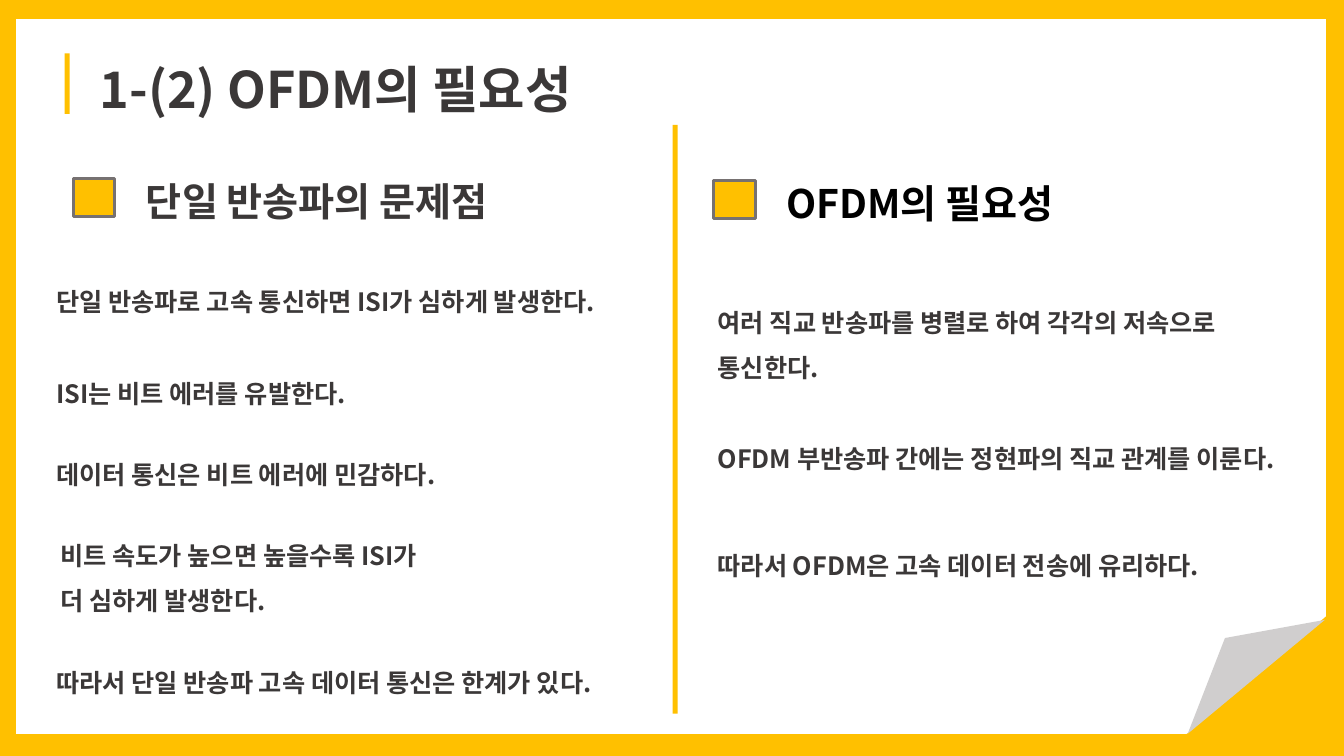
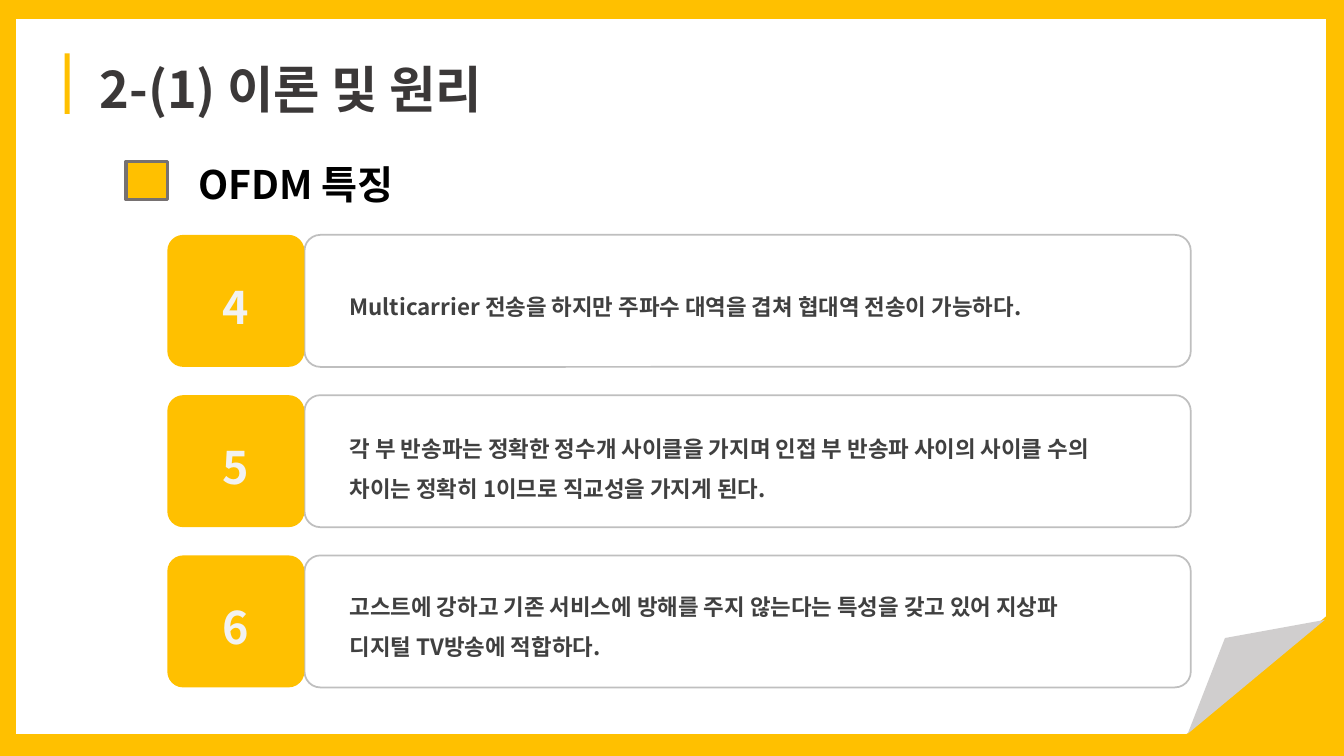
from lxml.etree import SubElement
from pptx import Presentation
from pptx.dml.color import RGBColor
from pptx.enum.shapes import MSO_SHAPE
from pptx.enum.text import MSO_ANCHOR, MSO_AUTO_SIZE, PP_ALIGN
from pptx.oxml.ns import qn
from pptx.util import Emu, Pt

PX = 9144
FONT = "Noto Sans CJK KR"
COLORS = {
    "accent": "FFC000",
    "paper": "FFFFFF",
    "ink": "3B3838",
    "black": "000000",
    "body": "404040",
    "number": "F2F2F2",
    "marker": "767171",
    "border": "BFBFBF",
    "fold": "D0CECE",
}


class SlideMaker:
    """Draws styled elements on the current slide of a deck."""

    def __init__(self, width, height):
        self.deck = Presentation()
        self.width, self.height = width, height
        sizes = {"slide_width": width, "slide_height": height}
        for name, value in sizes.items():
            setattr(self.deck, name, Emu(value * PX))
        self.page = None

    def color(self, name):
        return RGBColor.from_string(COLORS[name])

    def paint(self, shape, fill=None, line=None, weight=0):
        shape.shadow.inherit = False
        if fill:
            shape.fill.solid()
            shape.fill.fore_color.rgb = self.color(fill)
        else:
            shape.fill.background()
        if line:
            shape.line.color.rgb = self.color(line)
            shape.line.width = Pt(weight)
        else:
            shape.line.fill.background()

    def shape(self, kind, at, radius=None, rotation=0, **look):
        shape = self.page.shapes.add_shape(kind, *(Emu(value * PX) for value in at))
        shape.rotation = rotation
        if radius is not None:
            shape.adjustments[0] = radius
        self.paint(shape, **look)
        return shape

    def set_lines(self, frame, lines, size, color, spacing=1.0, align=PP_ALIGN.LEFT):
        frame.word_wrap = True
        for index, line in enumerate(lines):
            para = frame.add_paragraph() if index else frame.paragraphs[0]
            para.line_spacing = spacing
            para.alignment = align
            span = para.add_run()
            span.text = line
            for name, value in {"name": FONT, "size": Pt(size), "bold": True}.items():
                setattr(span.font, name, value)
            span.font.color.rgb = self.color(color)
            SubElement(span.font._element, qn("a:ea"), typeface=FONT)

    def text(self, at, *lines, **style):
        box = self.page.shapes.add_textbox(*(Emu(value * PX) for value in at))
        box.text_frame.auto_size = MSO_AUTO_SIZE.SHAPE_TO_FIT_TEXT
        self.set_lines(box.text_frame, lines, **style)

    def start(self, title):
        self.page = self.deck.slides.add_slide(self.deck.slide_layouts[6])
        self.shape(MSO_SHAPE.RECTANGLE, (0, 0, self.width, self.height), fill="accent")
        self.shape(MSO_SHAPE.RECTANGLE, (16, 19, 1299, 709), fill="paper")
        self.bar(64, 53, 60)
        self.text((89, 53, 600, 71), title, size=36, color="ink")
        self.folded_corner()

    def bar(self, left, top, height):
        self.shape(MSO_SHAPE.RECTANGLE, (left, top, 5, height), fill="accent")

    def folded_corner(self):
        self.shape(MSO_SHAPE.RIGHT_TRIANGLE, (1164, 591, 146, 173), rotation=270, fill="accent")
        outline = self.page.shapes.build_freeform(1215, 633, scale=PX)
        outline.add_line_segments([(1314, 615), (1178, 728)], close=True)
        self.paint(outline.convert_to_shape(), fill="fold")

    def heading(self, left, top, words, color):
        self.shape(MSO_SHAPE.RECTANGLE, (left, top, 41, 38), fill="accent", line="marker", weight=2.25)
        self.text((left + 62, top - 6, 420, 57), words, size=28, color=color)

    def statement(self, left, top, width, *lines):
        self.text((left, top, width, 50 * len(lines)), *lines, size=18, color="ink", spacing=1.5)

    def card(self, top, number, words, text_top):
        self.shape(MSO_SHAPE.ROUNDED_RECTANGLE, (302, top, 879, 131), radius=0.12, line="border", weight=1.25)
        badge = self.shape(MSO_SHAPE.ROUNDED_RECTANGLE, (166, top, 136, 131), radius=0.12, fill="accent")
        badge.text_frame.vertical_anchor = MSO_ANCHOR.MIDDLE
        self.set_lines(badge.text_frame, [number], size=32, color="number", spacing=1.2, align=PP_ALIGN.CENTER)
        self.text((337, text_top, 780, 88), words, size=16, color="body", spacing=1.5)


def build_need(maker):
    """Contrast single-carrier problems with the need for OFDM."""
    maker.start("1-(2) OFDM의 필요성")
    maker.bar(667, 124, 584)
    maker.heading(73, 177, "단일 반송파의 문제점", "ink")
    maker.heading(708, 179, "OFDM의 필요성", "black")
    statements = [
        (46, 264, 620, "단일 반송파로 고속 통신하면 ISI가 심하게 발생한다."),
        (46, 355, 620, "ISI는 비트 에러를 유발한다."),
        (46, 436, 620, "데이터 통신은 비트 에러에 민감하다."),
        (50, 516, 432, "비트 속도가 높으면 높을수록 ISI가", "더 심하게 발생한다."),
        (46, 642, 620, "따라서 단일 반송파 고속 데이터 통신은 한계가 있다."),
        (702, 285, 585, "여러 직교 반송파를 병렬로 하여 각각의 저속으로 통신한다."),
        (702, 420, 620, "OFDM 부반송파 간에는 정현파의 직교 관계를 이룬다."),
        (702, 526, 620, "따라서 OFDM은 고속 데이터 전송에 유리하다."),
    ]
    for statement in statements:
        maker.statement(*statement)


def build_features(maker):
    """List the numbered features of OFDM."""
    maker.start("2-(1) 이론 및 원리")
    maker.heading(125, 160, "OFDM 특징", "black")
    features = [
        ("4", "Multicarrier 전송을 하지만 주파수 대역을 겹쳐 협대역 전송이 가능하다.", 273),
        ("5", "각 부 반송파는 정확한 정수개 사이클을 가지며 인접 부 반송파 사이의 사이클 수의 "
              "차이는 정확히 1이므로 직교성을 가지게 된다.", 413),
        ("6", "고스트에 강하고 기존 서비스에 방해를 주지 않는다는 특성을 갖고 있어 지상파 "
              "디지털 TV방송에 적합하다.", 570),
    ]
    for row, feature in enumerate(features):
        maker.card(233 + row * 159, *feature)


def main():
    """Build and save the deck."""
    maker = SlideMaker(1333, 750)
    build_need(maker)
    build_features(maker)
    maker.deck.save("out.pptx")


if __name__ == "__main__":
    main()
